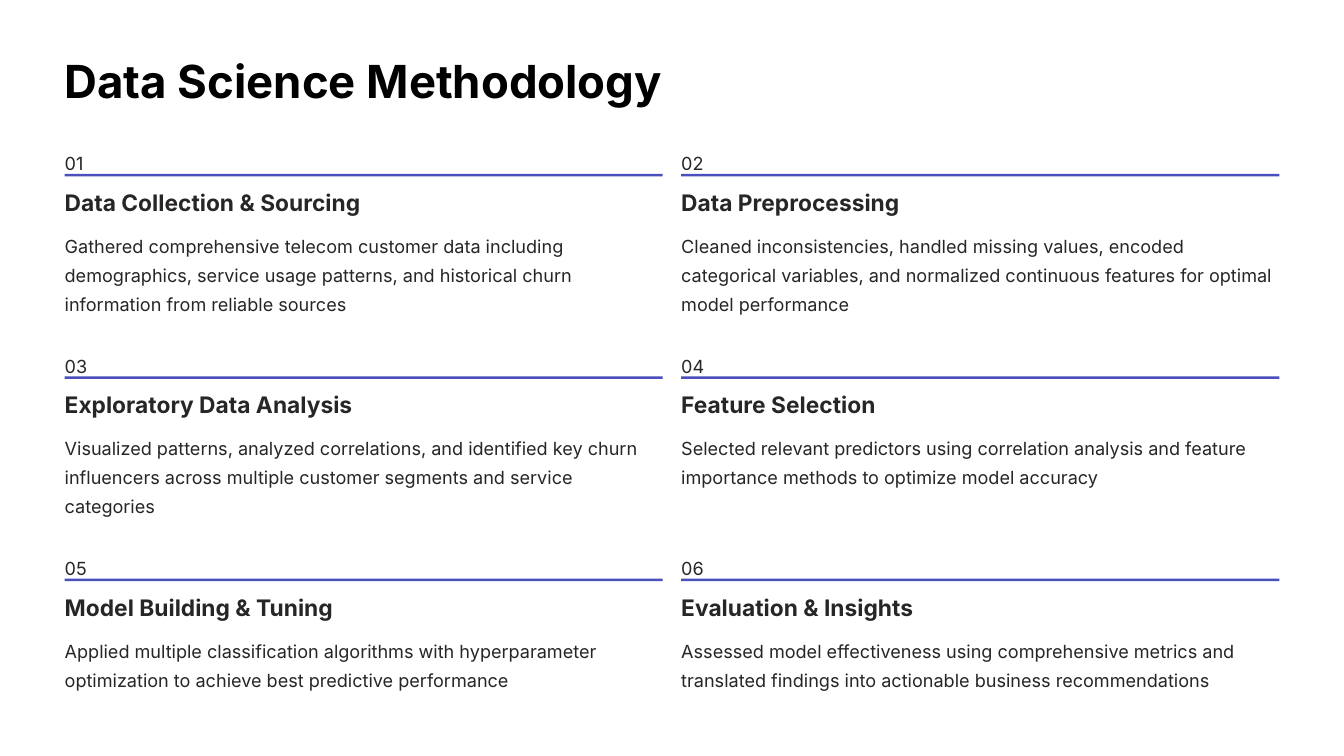
"""Build the Data Science Methodology slide: six numbered steps in a two-column grid."""
from dataclasses import dataclass

from pptx import Presentation
from pptx.dml.color import RGBColor
from pptx.enum.shapes import MSO_SHAPE
from pptx.enum.text import MSO_ANCHOR, MSO_AUTO_SIZE, PP_ALIGN
from pptx.util import Pt

RECTANGLE = MSO_SHAPE.RECTANGLE
TOP = MSO_ANCHOR.TOP
NO_FIT = MSO_AUTO_SIZE.NONE
LEFT = PP_ALIGN.LEFT

TITLE = "Data Science Methodology"
# heading, heading width, description, description lines
STEPS = [
    ("Data Collection & Sourcing", 355,
     "Gathered comprehensive telecom customer data including demographics, "
     "service usage patterns, and historical churn information from reliable sources", 3),
    ("Data Preprocessing", 274,
     "Cleaned inconsistencies, handled missing values, encoded categorical variables, "
     "and normalized continuous features for optimal model performance", 3),
    ("Exploratory Data Analysis", 345,
     "Visualized patterns, analyzed correlations, and identified key churn influencers "
     "across multiple customer segments and service categories", 3),
    ("Feature Selection", 274,
     "Selected relevant predictors using correlation analysis and feature importance "
     "methods to optimize model accuracy", 2),
    ("Model Building & Tuning", 322,
     "Applied multiple classification algorithms with hyperparameter optimization "
     "to achieve best predictive performance", 2),
    ("Evaluation & Insights", 278,
     "Assessed model effectiveness using comprehensive metrics and translated findings "
     "into actionable business recommendations", 2),
]


@dataclass(frozen=True)
class TextStyle:
    size: float
    leading: float
    color: RGBColor
    bold: bool = False


@dataclass(frozen=True)
class Theme:
    font: str = "Inter"
    background: RGBColor = RGBColor(0xFF, 0xFF, 0xFF)
    accent: RGBColor = RGBColor(0x49, 0x50, 0xBC)
    title: TextStyle = TextStyle(39, 49, RGBColor(0, 0, 0), True)
    heading: TextStyle = TextStyle(19.5, 24.5, RGBColor(0x27, 0x25, 0x25), True)
    body: TextStyle = TextStyle(15.5, 25, RGBColor(0x27, 0x25, 0x25))


THEME = Theme()
EMU_PER_PX = 9144
SLIDE_WIDTH, SLIDE_HEIGHT = 1600, 900
MARGIN, FIRST_ROW = 77, 173
COLUMNS, COLUMN_WIDTH, COLUMN_PITCH, ROW_PITCH = 2, 712, 734, 241
RULE_OFFSET, HEADING_OFFSET, BODY_OFFSET = 34, 50, 98
LINE_HEIGHT = 35


def px(*lengths):
    return [length * EMU_PER_PX for length in lengths]


def set_text(holder, text, style, wrap=False):
    frame = holder.text_frame
    frame.text = text
    frame.word_wrap = wrap
    frame.auto_size = NO_FIT
    frame.vertical_anchor = TOP
    frame.margin_left = frame.margin_top = frame.margin_right = frame.margin_bottom = 0
    paragraph = frame.paragraphs[0]
    paragraph.alignment = LEFT
    paragraph.line_spacing = Pt(style.leading)
    font = paragraph.runs[0].font
    font.name = THEME.font
    font.size = Pt(style.size)
    font.bold = style.bold
    font.color.rgb = style.color


def add_text(slide, box, text, style, wrap=False):
    set_text(slide.shapes.add_textbox(*px(*box)), text, style, wrap)


def add_step(slide, index, heading, heading_width, description, lines):
    row, column = divmod(index, COLUMNS)
    left = MARGIN + column * COLUMN_PITCH
    top = FIRST_ROW + row * ROW_PITCH
    add_text(slide, (left, top, 22, 27), f"{index + 1:02d}", THEME.body)
    rule = slide.shapes.add_shape(
        RECTANGLE, *px(left, top + RULE_OFFSET, COLUMN_WIDTH, 3))
    rule.shadow.inherit = False
    rule.fill.solid()
    rule.fill.fore_color.rgb = THEME.accent
    rule.line.fill.background()
    add_text(slide, (left, top + HEADING_OFFSET, heading_width, 34), heading, THEME.heading)
    add_text(slide, (left, top + BODY_OFFSET, COLUMN_WIDTH, lines * LINE_HEIGHT),
             description, THEME.body, wrap=True)


def main():
    deck = Presentation()
    deck.slide_width, deck.slide_height = px(SLIDE_WIDTH, SLIDE_HEIGHT)
    slide = deck.slides.add_slide(deck.slide_layouts.get_by_name("Title Only"))
    slide.background.fill.solid()
    slide.background.fill.fore_color.rgb = THEME.background
    title = slide.shapes.title
    title.left, title.top, title.width, title.height = px(MARGIN, 60, 719, 68)
    set_text(title, TITLE, THEME.title)
    for index, step in enumerate(STEPS):
        add_step(slide, index, *step)
    deck.save("out.pptx")


if __name__ == "__main__":
    main()
